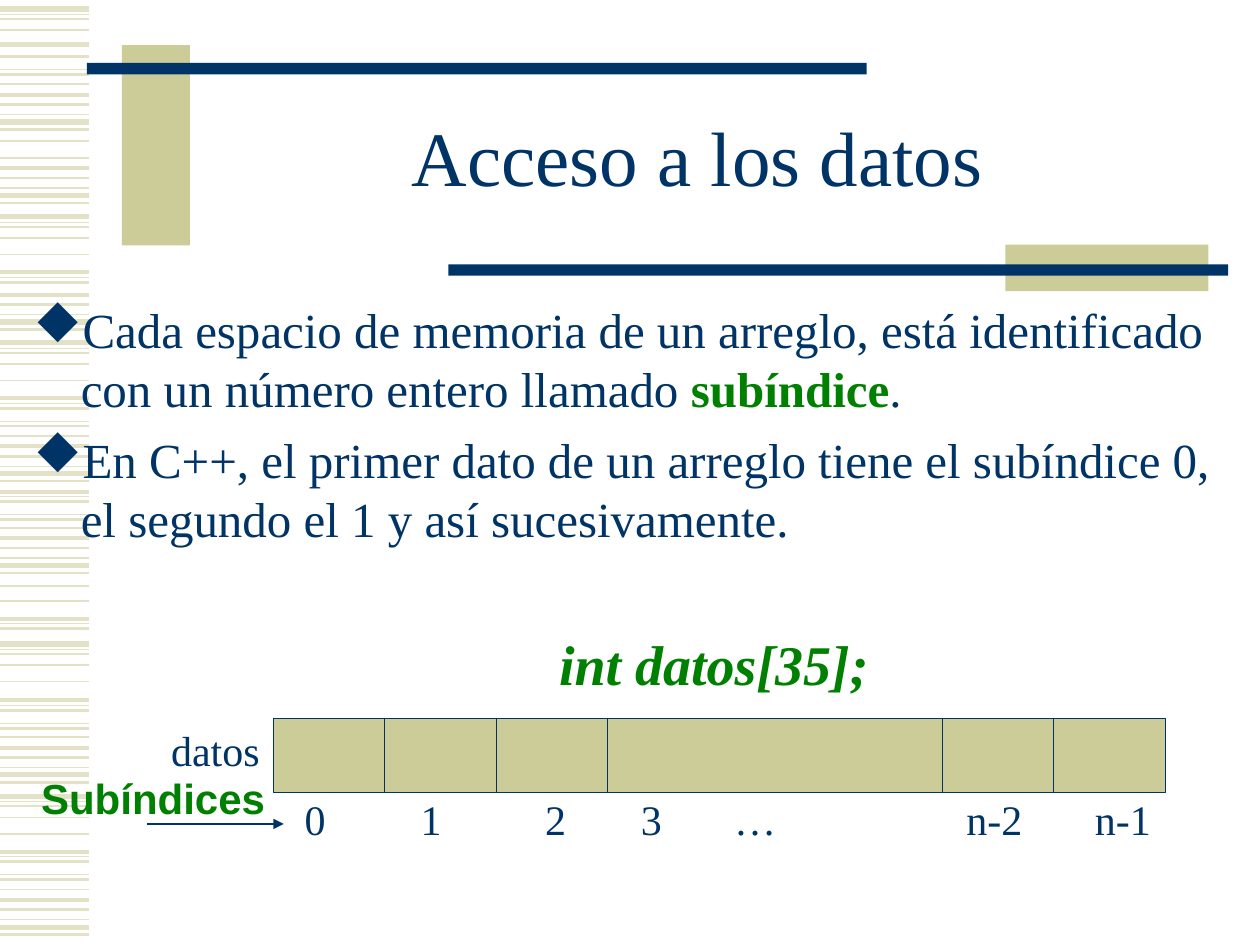
from lxml import etree
from pptx import Presentation
from pptx import util as u
from pptx.dml.color import RGBColor
from pptx.enum import shapes, text
from pptx.oxml.ns import qn

NAVY, SAND, PALE, GREEN = "003366", "CCCC99", "E3E2C7", "008000"
SERIF = "Times New Roman"

HEAD = [(0, 1), (0.21, 2.25), (0.41, 1.5), (0.61, 0.75), (0.76, 3), (0.91, 1.5)]
MID = [(0, 3), (0.11, 0.75), (0.2, 1), (0.43, 1), (0.76, 1)]
TAIL = [(0, 2.25), (0.1, 0.75), (0.2, 1.5), (0.46, 0.75), (0.56, 1.5)]
LONE = [(0.89, 3), (1.14, 1.5), (1.4, 0.75), (1.5, 1.5), (2.84, 1), (11.81, 1), (12.12, 1)]
BANDS = [
    (HEAD, [1.7, 3.18, 8.79, 10.64, 14.86, 17.93]),
    (HEAD[1:], [5.73]),
    (MID, [4.37, 6.91, 12.98, 16.05]),
    (MID[:4], [0.18]),
    (TAIL, [8.03, 9.91, 14.12, 17.17]),
    (TAIL[:3], [5.49, 12.47]),
    (LONE, [0]),
]
BLOCKS = [
    (2.46, 0.91, 1.37, 4.04, SAND),
    (1.75, 1.27, 15.72, 0.23, NAVY),
    (20.27, 4.93, 4.09, 0.94, SAND),
    (9.04, 5.33, 15.72, 0.23, NAVY),
]
TITLE = "Acceso a los datos"
POINTS = [
    [("Cada espacio de memoria de un arreglo, está identificado con un número entero llamado ", False),
     ("subíndice", True), (".", False)],
    [("En C++, el primer dato de un arreglo tiene el subíndice 0, el segundo el 1 y así sucesivamente.", False)],
]
BAR = (5.51, 14.48, 17.98, 1.5)
UNITS = 8
CUTS = [1, 2, 3, 6, 7]
INDEX = ["0", "1", "2", "3", "…", "n-2", "n-1"]
STOPS = [2.34, 4.85, 6.78, 8.66, 13.34, 15.93]
LABELS = [
    ("int datos[35];", (11.02, 12.57, 6.76, 1.63), 32, SERIF, GREEN, True, True),
    ("datos", (3.2, 14.48, 2.29, 1.27), 24, SERIF, NAVY, False, False),
    ("Subíndices", (0.58, 15.44, 5.03, 1.27), 24, "Arial", GREEN, True, False),
    ("\t".join(INDEX), (5.89, 15.88, 17.58, 1.27), 24, SERIF, NAVY, False, False),
]


def paint(item, tone):
    if hasattr(item, "solid"):
        item.solid()
        item.fore_color.rgb = RGBColor.from_string(tone)
    else:
        item.color.rgb = RGBColor.from_string(tone)


def style(font, size, face, tone, bold=False, slant=False):
    font.size, font.name, font.bold, font.italic = u.Pt(size), face, bold, slant
    paint(font, tone)


def rule(slide, x1, y1, x2, y2, tone, width):
    line = slide.shapes.add_connector(
        shapes.MSO_CONNECTOR.STRAIGHT, u.Cm(x1), u.Cm(y1), u.Cm(x2), u.Cm(y2))
    paint(line.line, tone)
    line.line.width = u.Pt(width)
    etree.SubElement(line._element.spPr, qn("a:effectLst"))
    return line


def block(slide, x, y, w, h, tone, edge=None):
    rect = slide.shapes.add_shape(shapes.MSO_SHAPE.RECTANGLE, *map(u.Cm, (x, y, w, h)))
    rect.shadow.inherit = False
    paint(rect.fill, tone)
    if edge:
        paint(rect.line, edge)
        rect.line.width = u.Pt(0.75)
    else:
        rect.line.fill.background()


def bullet(para):
    props = para._p.get_or_add_pPr()
    props.set("marL", str(u.Cm(0.95)))
    props.set("indent", str(-u.Cm(0.95)))
    tint = etree.SubElement(props, qn("a:buClr"))
    etree.SubElement(tint, qn("a:srgbClr"), val=NAVY)
    etree.SubElement(props, qn("a:buFont"), typeface="Wingdings", pitchFamily="2", charset="2")
    etree.SubElement(props, qn("a:buChar"), char="u")


def tabs(para, stops):
    group = etree.SubElement(para._p.get_or_add_pPr(), qn("a:tabLst"))
    for stop in stops:
        etree.SubElement(group, qn("a:tab"), pos=str(u.Cm(stop)), algn="l")


def main():
    deck = Presentation()
    deck.slide_width, deck.slide_height = u.Cm(25.4), u.Cm(19.05)
    slide = deck.slides.add_slide(deck.slide_layouts[5])

    for motif, starts in BANDS:
        for start in starts:
            for gap, width in motif:
                rule(slide, 0, start + gap, 1.8, start + gap, PALE, width)
    for spec in BLOCKS:
        block(slide, *spec)

    title = slide.shapes.title
    title.left, title.top, title.width, title.height = map(u.Cm, (3.81, 1.7, 20.5, 3.18))
    frame = title.text_frame
    frame.text = TITLE
    frame.auto_size = text.MSO_AUTO_SIZE.NONE
    frame.vertical_anchor = text.MSO_ANCHOR.MIDDLE
    para = frame.paragraphs[0]
    para.alignment = text.PP_ALIGN.CENTER
    para.line_spacing = 0.85
    style(para.font, 44, SERIF, NAVY)

    body = slide.shapes.add_textbox(*map(u.Cm, (0.43, 5.92, 24.33, 11.43))).text_frame
    body.word_wrap = True
    for num, runs in enumerate(POINTS):
        para = body.add_paragraph() if num else body.paragraphs[0]
        if num:
            para.space_before = u.Pt(7)
        bullet(para)
        style(para.font, 28, SERIF, NAVY)
        for words, key in runs:
            run = para.add_run()
            run.text = words
            if key:
                run.font.bold = True
                paint(run.font, GREEN)

    x, y, w, h = BAR
    block(slide, *BAR, SAND, NAVY)
    for cut in CUTS:
        place = x + w * cut / UNITS
        rule(slide, place, y + h, place, y, NAVY, 0.75)

    for words, box, size, face, tone, bold, slant in LABELS:
        frame = slide.shapes.add_textbox(*map(u.Cm, box)).text_frame
        frame.word_wrap = False
        para = frame.paragraphs[0]
        para.text = words
        if "\t" in words:
            tabs(para, STOPS)
        style(para.font, size, face, tone, bold, slant)

    arrow = rule(slide, 2.97, 16.61, 5.72, 16.61, NAVY, 0.75)
    etree.SubElement(arrow.line._get_or_add_ln(), qn("a:tailEnd"), type="triangle")

    deck.save("out.pptx")


if __name__ == "__main__":
    main()
